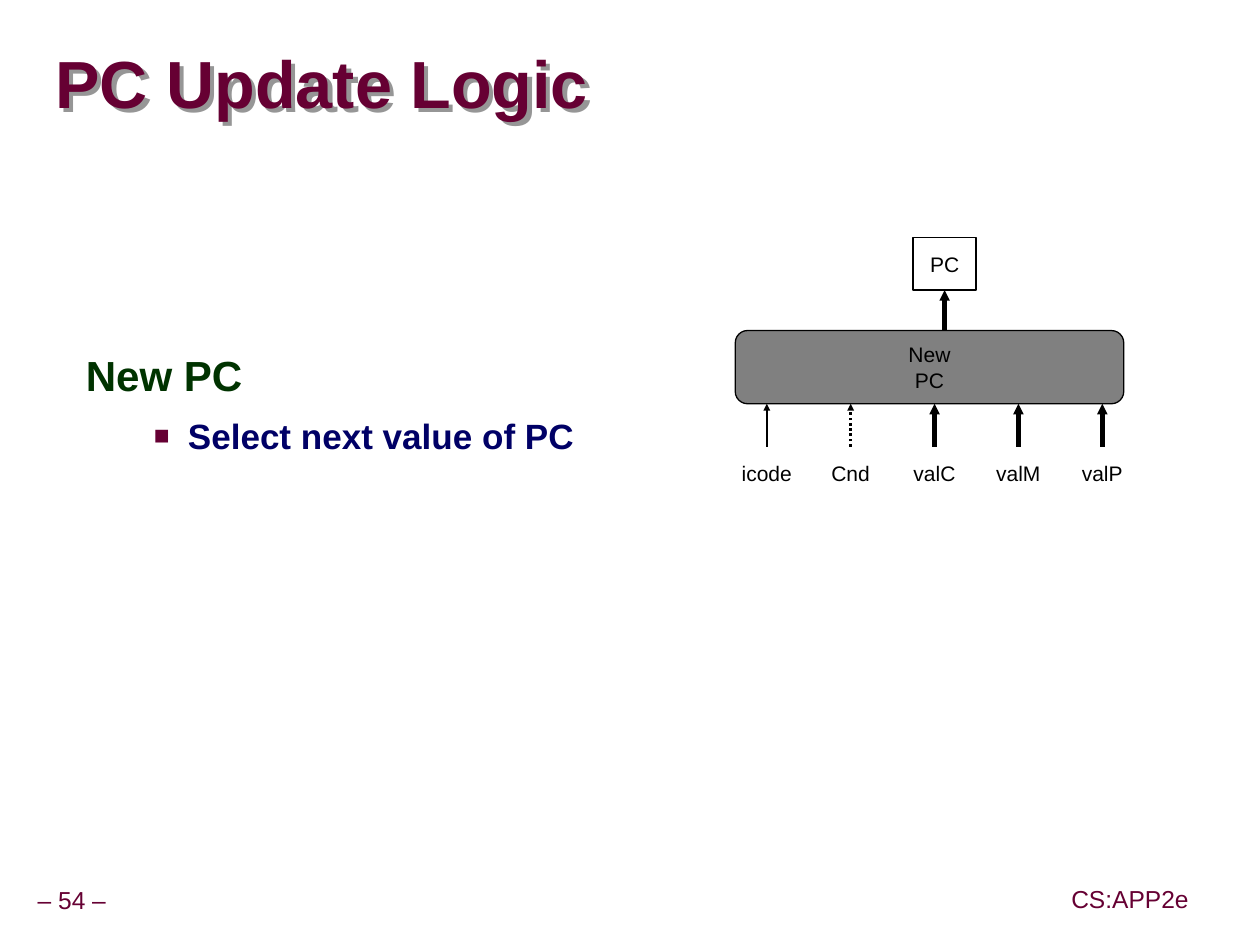
from lxml.etree import SubElement
from pptx import Presentation
from pptx.dml.color import RGBColor
from pptx.enum.dml import MSO_LINE_DASH_STYLE as Dash
from pptx.enum.shapes import MSO_CONNECTOR as Conn, MSO_SHAPE as Shape
from pptx.enum.text import MSO_ANCHOR as Anchor, MSO_AUTO_SIZE as Auto, PP_ALIGN as Align
from pptx.oxml.ns import qn
from pptx.util import Inches, Pt

# Content
TITLE = "PC Update Logic"
BODY = [  # text, level, format
    ("New PC", 0, {"size": 24, "color": "003300", "bold": True}),
    ("Select next value of PC", 1, {"size": 20, "color": "000066", "bold": True}),
]
INPUTS = [  # label, line width, dash
    ("icode", 1, None),
    ("Cnd", 1.5, Dash.ROUND_DOT),
    ("valC", 3, None),
    ("valM", 3, None),
    ("valP", 3, None),
]
FOOTER = [("– 54 –", 0.24, 6.99, 0.66), ("CS:APP2e", 8.44, 6.98, 1.04)]

# Formats
WINE, BLACK, WHITE, GRAY = "660033", "000000", "FFFFFF", "808080"
HEAD = {"size": 38, "color": WINE, "bold": True}
FOOT = {"size": 14, "color": WINE}
LABEL = {"size": 12, "color": BLACK}

# Diagram measures
FIRST, STEP = 6.08, 0.665
BOX_W, BOX_H = 0.5, 0.42
PC_X, PC_Y = 7.49, 1.88
BAR_X, BAR_Y, BAR_W, BAR_H = 5.83, 2.62, 3.08, 0.58
IN_Y = 3.54


def rgb(code):
    return RGBColor.from_string(code)


def style(para, form):
    para.font.name = "Arial"
    for key, val in form.items():
        if key == "color":
            para.font.color.rgb = rgb(val)
        else:
            setattr(para.font, key, Pt(val) if key == "size" else val)


def place(shape, *box):
    for name, val in zip(("left", "top", "width", "height"), box):
        setattr(shape, name, Inches(val))


def frame(shape, anchor, side, edge, wrap):
    form = {
        "margin_left": Inches(side), "margin_right": Inches(side),
        "margin_top": Inches(edge), "margin_bottom": Inches(edge),
        "vertical_anchor": anchor, "word_wrap": wrap, "auto_size": Auto.NONE,
    }
    for key, val in form.items():
        setattr(shape.text_frame, key, val)


def write(shape, text, form, side=0.1):
    frame(shape, Anchor.MIDDLE, side, 0.05, False)
    shape.text_frame.text = text
    for para in shape.text_frame.paragraphs:
        para.alignment = Align.CENTER
        style(para, form)


def label(text, box, form, side=0.1):
    item = slide.shapes.add_textbox(*map(Inches, box))
    write(item, text, form, side)
    return item


def block(kind, text, box, fill):
    item = slide.shapes.add_shape(kind, *map(Inches, box))
    item.shadow.inherit = False
    item.fill.solid()
    item.fill.fore_color.rgb = rgb(fill)
    item.line.color.rgb = rgb(BLACK)
    item.line.width = Pt(0.75)
    write(item, text, LABEL)
    return item


def arrow(x, start, end, width, dash=None):
    item = slide.shapes.add_connector(Conn.STRAIGHT, *map(Inches, (x, start, x, end)))
    item.line.color.rgb = rgb(BLACK)
    item.line.width = Pt(width)
    if dash:
        item.line.dash_style = dash
    props = item.line._get_or_add_ln()
    SubElement(props, qn("a:tailEnd"), type="triangle", w="sm", len="sm")
    SubElement(item._element.spPr, qn("a:effectLst"))


def bullet(props):
    tint = SubElement(props, qn("a:buClr"))
    SubElement(tint, qn("a:srgbClr"), val=WINE)
    SubElement(props, qn("a:buSzPct"), val="75000")
    SubElement(props, qn("a:buFont"), typeface="Arial")
    SubElement(props, qn("a:buChar"), char="■")


deck = Presentation()
deck.slide_width, deck.slide_height = Inches(9.99), Inches(7.49)
slide = deck.slides.add_slide(deck.slide_layouts[1])

# Title with a drop shadow
title = slide.shapes.title
place(title, 0.44, 0.27, 9.52, 0.85)
frame(title, Anchor.MIDDLE, 0, 0, True)
title.text_frame.text = TITLE
para = title.text_frame.paragraphs[0]
para.alignment, para.line_spacing = Align.LEFT, 0.87
style(para, HEAD)
effect = SubElement(title._element.spPr, qn("a:effectLst"))
shade = SubElement(effect, qn("a:outerShdw"), dist=str(Inches(0.05)), dir="2700000", algn="ctr")
SubElement(shade, qn("a:srgbClr"), val="969696")

# Body list
body = slide.placeholders[1]
place(body, 0.58, 2.75, 5.83, 2.75)
frame(body, Anchor.TOP, 0.1, 0.05, True)
body.text_frame.text = "\n".join(text for text, _, _ in BODY)
for para, (_, level, form) in zip(body.text_frame.paragraphs, BODY):
    para.level = level
    para.alignment = Align.LEFT
    para.line_spacing = 1 if level else 0.95
    para.space_before = Pt(7.5 if level else 0)
    props = para._p.get_or_add_pPr()
    left, hang = (0.81, 0.27) if level else (0.42, 0.42)
    props.set("marL", str(Inches(left)))
    props.set("indent", str(-Inches(hang)))
    if level:
        bullet(props)
    else:
        SubElement(props, qn("a:buNone"))
    style(para, form)

# PC register and selection logic
bar = block(Shape.ROUNDED_RECTANGLE, "New\nPC", (BAR_X, BAR_Y, BAR_W, BAR_H), GRAY)
bar.adjustments[0] = 0.167
block(Shape.RECTANGLE, "PC", (PC_X - BOX_W / 2, PC_Y, BOX_W, BOX_H), WHITE)
arrow(PC_X, BAR_Y, PC_Y + BOX_H, 3)

# Input signals
for i, (text, width, dash) in enumerate(INPUTS):
    x = FIRST + i * STEP
    label(text, (x - BOX_W / 2, IN_Y, BOX_W, BOX_H), LABEL)
    arrow(x, IN_Y, BAR_Y + BAR_H, width, dash)

# Footer
for text, x, y, width in FOOTER:
    note = label(text, (x, y, width, 0.31), FOOT, 0.05)
    note.text_frame.paragraphs[0].line_spacing = 0.9

deck.save("out.pptx")
